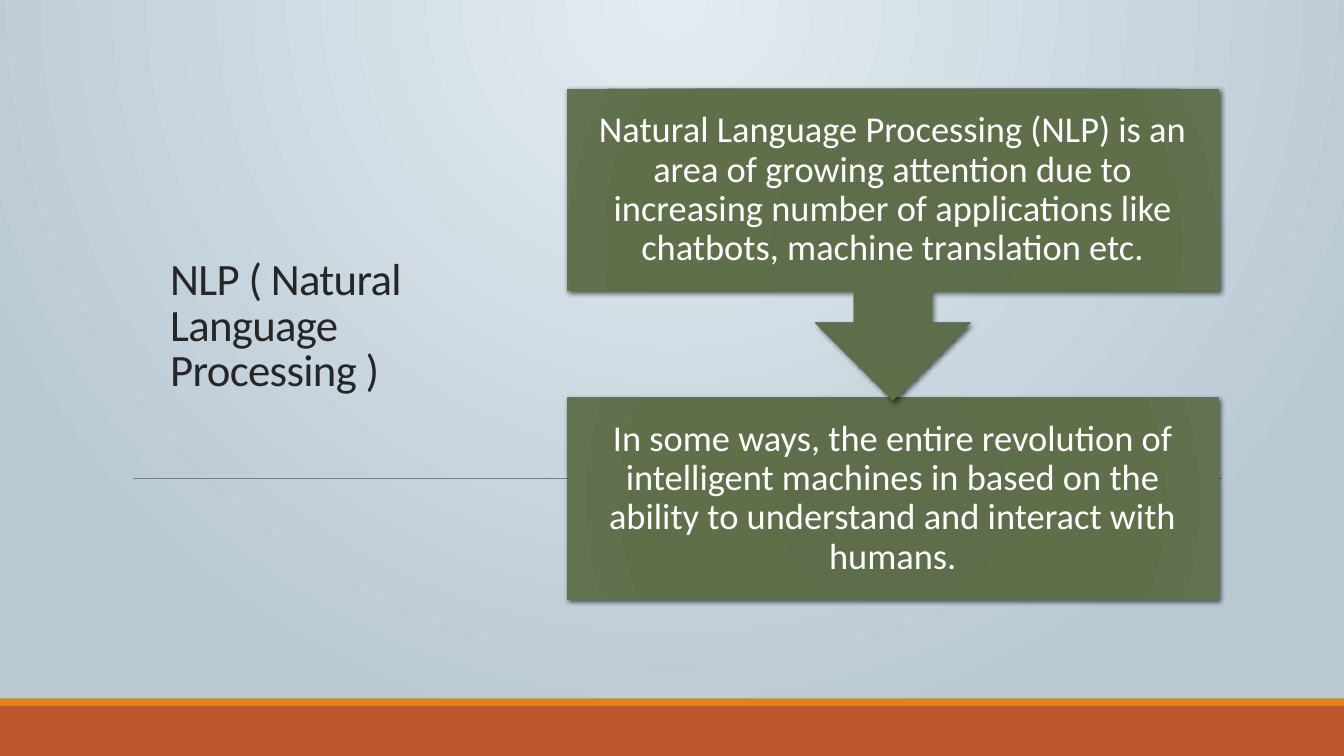
from dataclasses import dataclass

from lxml import etree
from pptx import Presentation
from pptx.dml.color import RGBColor
from pptx.enum.shapes import MSO_CONNECTOR, MSO_SHAPE
from pptx.enum.text import MSO_ANCHOR, PP_ALIGN
from pptx.oxml.ns import qn
from pptx.util import Inches, Pt

RECT, CALLOUT = MSO_SHAPE.RECTANGLE, MSO_SHAPE.UP_ARROW_CALLOUT
STRAIGHT = MSO_CONNECTOR.STRAIGHT
TOP, MIDDLE = MSO_ANCHOR.TOP, MSO_ANCHOR.MIDDLE
LEFT, CENTER = PP_ALIGN.LEFT, PP_ALIGN.CENTER

WIDE, HIGH = Inches(13.33), Inches(7.5)
COL, ROW = WIDE / 100, HIGH / 100  # grid of 100 columns by 100 rows


@dataclass(frozen=True)
class Theme:
    font: str = "Calibri"
    title: int = 32
    body: int = 26
    ink: str = "262626"
    white: str = "FFFFFF"
    rule: str = "808080"
    rust: str = "BD582C"
    amber: str = "E48312"
    sky: tuple = ((0, "E4ECF1"), (100, "B9C9D4"))
    moss: tuple = ((0, "5D6D48"), (34, "5E6D4A"), (70, "5F6F4A"), (100, "637250"))


THEME = Theme()


def grid(x, y, w, h):
    """Turn columns and rows into lengths."""
    return x * COL, y * ROW, w * COL, h * ROW


def node(parent, tag, **attrs):
    return etree.SubElement(parent, qn(tag), {k: str(v) for k, v in attrs.items()})


def blend(fill, owner, stops, focus):
    """Give the owner a circular gradient around the focus, in percent."""
    fill.gradient()
    grad = owner.find(".//" + qn("a:gradFill"))
    for child in list(grad):
        grad.remove(child)
    items = node(grad, "a:gsLst")
    for pos, color in stops:
        node(node(items, "a:gs", pos=pos * 1000), "a:srgbClr", val=color)
    ring = node(grad, "a:path", path="circle")
    node(ring, "a:fillToRect", **{side: v * 1000 for side, v in zip("ltrb", focus)})


def add_text(slide, box, text, size, color, align=LEFT, anchor=TOP,
             inset=(0.1, 0.05), lead=0.9, track=0):
    frame = slide.shapes.add_textbox(*map(round, box)).text_frame
    frame.word_wrap = True
    frame.vertical_anchor = anchor
    frame.margin_left = frame.margin_right = Inches(inset[0])
    frame.margin_top = frame.margin_bottom = Inches(inset[1])
    para = frame.paragraphs[0]
    para.alignment, para.line_spacing = align, lead
    run = para.add_run()
    run.text = text
    run.font.name, run.font.size = THEME.font, Pt(size)
    run.font.color.rgb = RGBColor.from_string(color)
    if track:
        run.font._element.set("spc", str(round(track * 100)))


def add_block(slide, kind, box):
    block = slide.shapes.add_shape(kind, *map(round, box))
    block.line.fill.background()
    block.shadow.inherit = False
    return block


def add_band(slide, box, color):
    fill = add_block(slide, RECT, box).fill
    fill.solid()
    fill.fore_color.rgb = RGBColor.from_string(color)


def add_moss(slide, kind, box):
    """Add a green block with a soft shadow."""
    block = add_block(slide, kind, box)
    props = block._element.spPr
    blend(block.fill, props, THEME.moss, (100, 100, 100, 100))
    shade = node(props.find(qn("a:effectLst")), "a:outerShdw", blurRad=Pt(3.5),
                 dist=Pt(2), dir=45 * 60000, algn="tl", rotWithShape=0)
    node(node(shade, "a:srgbClr", val="000000"), "a:alpha", val=60000)
    return block


def add_frame(slide, foot, rule):
    """Draw the background, the footer bands and the thin rule."""
    blend(slide.background.fill, slide._element, THEME.sky, (43, 0, 43, 100))
    x, y, w, h = foot
    thin = h * 0.12
    add_band(slide, (x, y + thin, w, h - thin), THEME.rust)
    add_band(slide, (x, y, w, thin), THEME.amber)
    x, y, w, h = rule
    line = slide.shapes.add_connector(STRAIGHT, *map(round, (x, y, x + w, y + h)))
    line.line.color.rgb = RGBColor.from_string(THEME.rule)
    line.line.width = Pt(0.5)
    node(line._element.spPr, "a:effectLst")


def add_flow(slide, box, first, last):
    """Stack two panels, the upper one pointing down to the lower one."""
    x, y, w, h = box
    tall = h * 0.61
    panel = tall * 0.65
    low = y + h - panel
    add_moss(slide, RECT, (x, low, w, panel))
    add_moss(slide, CALLOUT, (x, y, w, tall)).rotation = 180
    for top, text in ((low, last), (y, first)):
        add_text(slide, (x, top, w, panel), text, THEME.body, THEME.white,
                 align=CENTER, anchor=MIDDLE, inset=(0.2, 0.2))


def main():
    deck = Presentation()
    deck.slide_width, deck.slide_height = WIDE, HIGH
    slide = deck.slides.add_slide(deck.slide_layouts[6])
    add_frame(slide, foot=grid(0, 92.4, 100, 7.6), rule=grid(9.9, 63.33, 81, 0))
    add_text(slide, grid(11.93, 33.6, 26.86, 38.93),
             "NLP ( Natural Language Processing )",
             THEME.title, THEME.ink, lead=0.85, track=-0.5)
    add_flow(
        slide, grid(42.16, 11.73, 48.54, 67.6),
        first="Natural Language Processing (NLP) is an area of growing attention "
              "due to increasing number of applications like chatbots, "
              "machine translation etc.",
        last="In some ways, the entire revolution of intelligent machines in based "
             "on the ability to understand and interact with humans.")
    deck.save("out.pptx")


if __name__ == "__main__":
    main()
